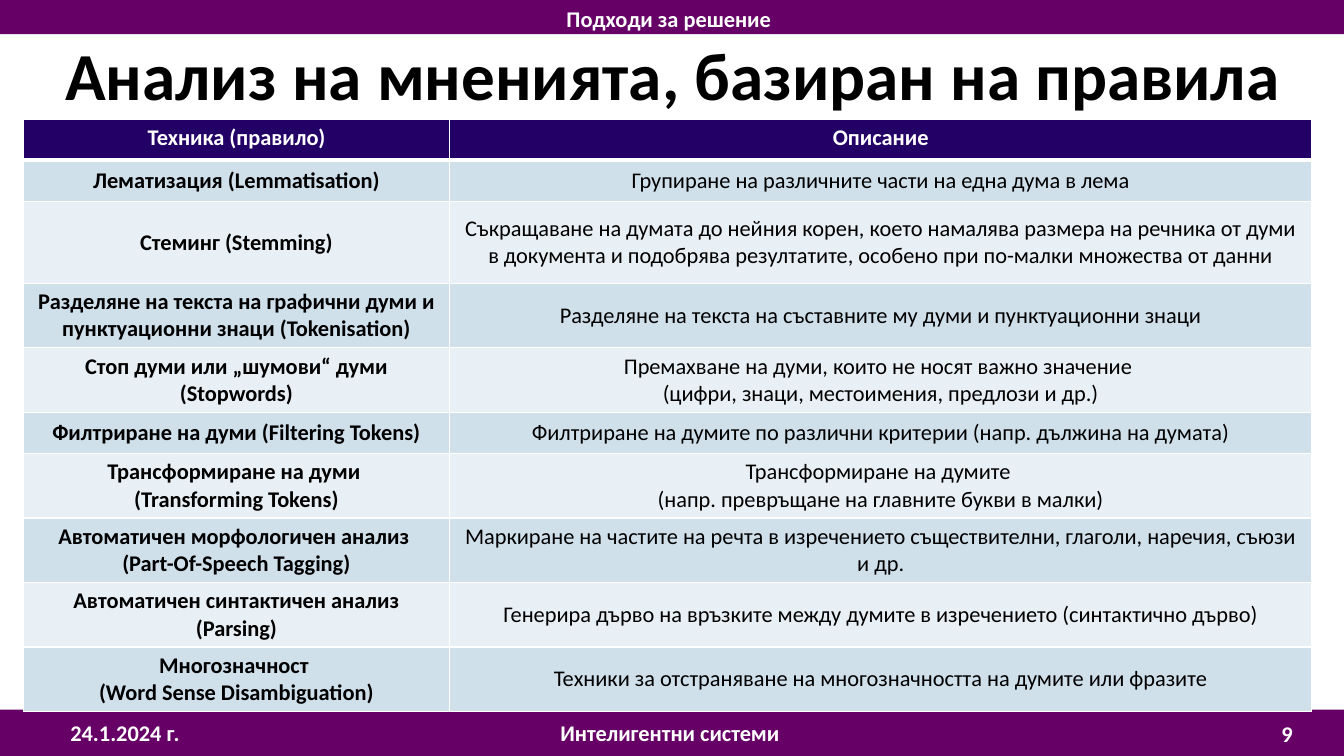
from lxml import etree
from pptx import Presentation
from pptx.dml.color import RGBColor
from pptx.enum import shapes, text
from pptx.oxml import ns
from pptx.util import Inches, Pt

FONT = "Calibri"
PURPLE = RGBColor(0x66, 0x00, 0x66)
INDIGO = RGBColor(0x23, 0x00, 0x66)
BLUE_BAND = RGBColor(0xD0, 0xE0, 0xEB)
PALE_BAND = RGBColor(0xE9, 0xF0, 0xF5)
WHITE = RGBColor(0xFF, 0xFF, 0xFF)
BLACK = RGBColor(0x00, 0x00, 0x00)

COLUMN_WIDTHS = (4.23, 8.55)
SHORT, MEDIUM, TALL = 0.41, 0.64, 0.81

# Row height, technique, description; \v is a line break
TECHNIQUES = [
    (SHORT, "Техника (правило)", "Описание"),
    (SHORT, "Лематизация (Lemmatisation)",
     "Групиране на различните части на една дума в лема"),
    (TALL, "Стеминг (Stemming)",
     "Съкращаване на думата до нейния корен, което намалява размера на речника "
     "от думи в документа и подобрява резултатите, особено при по-малки "
     "множества от данни"),
    (MEDIUM, "Разделяне на текста на графични думи и пунктуационни знаци (Tokenisation)",
     "Разделяне на текста на съставните му думи и пунктуационни знаци"),
    (MEDIUM, "Стоп думи или „шумови“ думи (Stopwords)",
     "Премахване на думи, които не носят важно значение \v"
     "(цифри, знаци, местоимения, предлози и др.)"),
    (SHORT, "Филтриране на думи (Filtering Tokens)",
     "Филтриране на думите по различни критерии (напр. дължина на думата)"),
    (MEDIUM, "Трансформиране на думи \v(Transforming Tokens)",
     "Трансформиране на думите \v(напр. превръщане на главните букви в малки)"),
    (MEDIUM, "Автоматичен морфологичен анализ \v(Part-Of-Speech Tagging)",
     "Маркиране на частите на речта в изречението съществителни, глаголи, "
     "наречия, съюзи и др."),
    (MEDIUM, "Автоматичен синтактичен анализ (Parsing)",
     "Генерира дърво на връзките между думите в изречението (синтактично дърво)"),
    (MEDIUM, "Многозначност \v(Word Sense Disambiguation)",
     "Техники за отстраняване на многозначността на думите или фразите"),
]


def write(frame, words, color, size=16, bold=True, align=text.PP_ALIGN.CENTER):
    frame.text = words
    paragraph = frame.paragraphs[0]
    paragraph.alignment = align
    for run in paragraph.runs:
        run.font.name = FONT
        run.font.size = Pt(size)
        run.font.bold = bold
        run.font.color.rgb = color


def add_text(slide, place, words, color=WHITE, **style):
    box = slide.shapes.add_textbox(*map(Inches, place))
    box.text_frame.word_wrap = True
    box.text_frame.vertical_anchor = text.MSO_ANCHOR.MIDDLE
    write(box.text_frame, words, color, **style)


def add_bar(slide, top, height):
    bar = slide.shapes.add_shape(shapes.MSO_SHAPE.RECTANGLE, 0, Inches(top),
                                 Inches(13.33), Inches(height))
    bar.shadow.inherit = False
    bar.fill.solid()
    bar.fill.fore_color.rgb = PURPLE
    bar.line.fill.background()


def add_borders(cell, bottom_width):
    properties = cell._tc.get_or_add_tcPr()
    for side, width in (("L", 1), ("R", 1), ("T", 1), ("B", bottom_width)):
        border = etree.SubElement(properties, ns.qn(f"a:ln{side}"), w=str(Pt(width)))
        fill = etree.SubElement(border, ns.qn("a:solidFill"))
        etree.SubElement(fill, ns.qn("a:srgbClr"), val=str(WHITE))


def add_techniques_table(slide):
    height = sum(row[0] for row in TECHNIQUES)
    table = slide.shapes.add_table(len(TECHNIQUES), 2, Inches(0.23), Inches(1.18),
                                   Inches(sum(COLUMN_WIDTHS)), Inches(height)).table
    for column, width in zip(table.columns, COLUMN_WIDTHS):
        column.width = Inches(width)
    for index, (row_height, *entries) in enumerate(TECHNIQUES):
        table.rows[index].height = Inches(row_height)
        header = index == 0
        band = INDIGO if header else BLUE_BAND if index % 2 else PALE_BAND
        for column, words in enumerate(entries):
            cell = table.cell(index, column)
            # The rule below the header belongs to both adjoining rows
            add_borders(cell, 3 if header else 1)
            cell.fill.solid()
            cell.fill.fore_color.rgb = band
            cell.vertical_anchor = text.MSO_ANCHOR.TOP if header else text.MSO_ANCHOR.MIDDLE
            write(cell.text_frame, words, WHITE if header else BLACK,
                  bold=header or column == 0)


def main():
    presentation = Presentation()
    presentation.slide_width = Inches(13.33)
    presentation.slide_height = Inches(7.5)
    slide = presentation.slides.add_slide(presentation.slide_layouts[6])

    # Title
    add_text(slide, (0.02, 0.1, 13.31, 1.26), "Анализ на мненията, базиран на правила",
             BLACK, size=48)

    # Footer
    add_bar(slide, 7.04, 0.46)
    add_text(slide, (0.6, 7.07, 1.56, 0.4), "24.1.2024 г.", align=text.PP_ALIGN.LEFT)
    add_text(slide, (12.35, 7.08, 0.83, 0.4), "9")
    add_text(slide, (5.46, 7.07, 2.41, 0.4), "Интелигентни системи",
             align=text.PP_ALIGN.LEFT)

    # Section header
    add_bar(slide, 0, 0.34)
    add_text(slide, (5.52, -0.02, 2.29, 0.4), "Подходи за решение",
             align=text.PP_ALIGN.LEFT)

    # Techniques
    add_techniques_table(slide)
    presentation.save("out.pptx")


if __name__ == "__main__":
    main()
